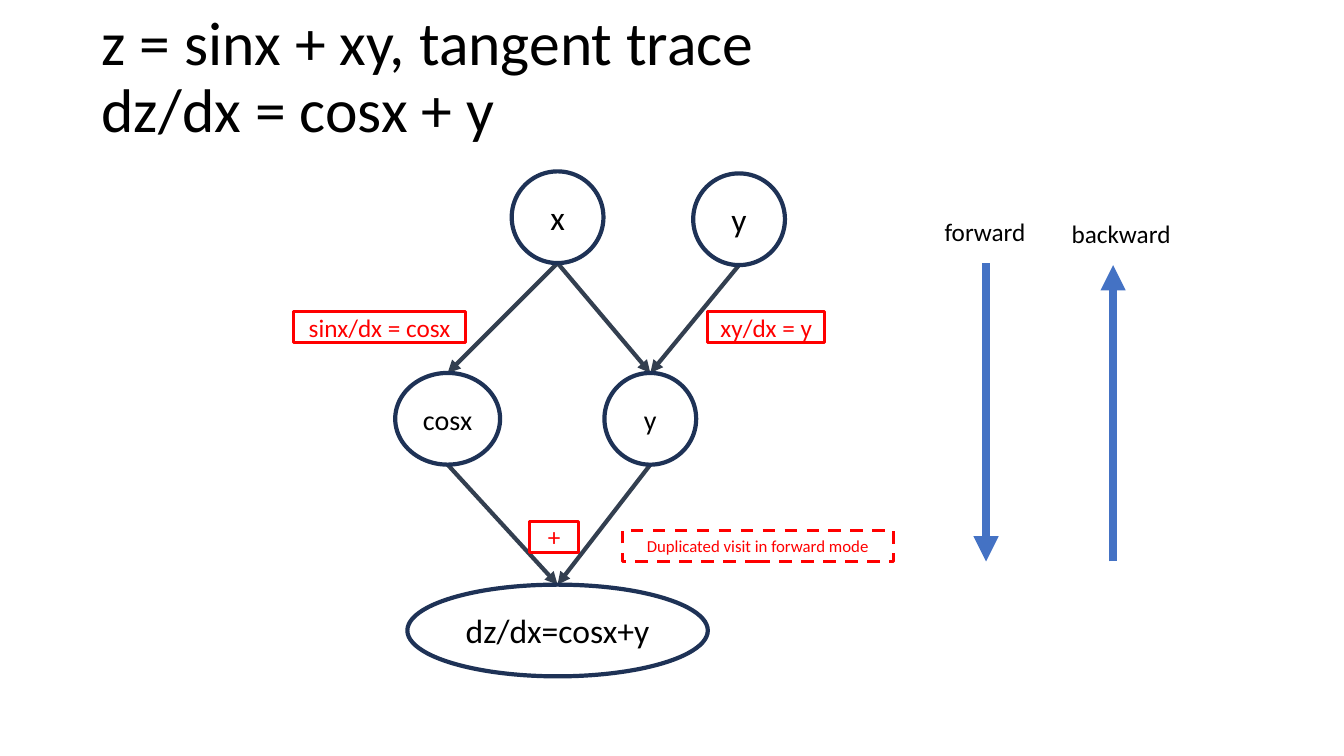
from lxml import etree
from pptx import Presentation
from pptx.dml.color import RGBColor
from pptx.enum.dml import MSO_LINE
from pptx.enum.shapes import MSO_CONNECTOR, MSO_SHAPE
from pptx.enum.text import MSO_ANCHOR, PP_ALIGN
from pptx.oxml.ns import qn
from pptx.util import Inches, Pt

STRAIGHT = MSO_CONNECTOR.STRAIGHT
OVAL, RECTANGLE = MSO_SHAPE.OVAL, MSO_SHAPE.RECTANGLE
DASH = MSO_LINE.DASH
MIDDLE, TOP = MSO_ANCHOR.MIDDLE, MSO_ANCHOR.TOP
CENTER, LEFT = PP_ALIGN.CENTER, PP_ALIGN.LEFT

FONT = "Calibri"
COLORS = {"text": "000000", "node": "1E3256", "edge": "333F50",
          "note": "FF0000", "direction": "4472C4"}
SLIDE_SIZE = (13.33, 7.5)

TITLE = "z = sinx + xy, tangent trace\ndz/dx = cosx + y"
TITLE_BOX = (0.91, 0.06, 11.5, 1.45)

# name: (text, centre x, top, width, font size)
NODE_HEIGHT = 0.91
NODES = {
    "x": ("x", 5.53, 1.7, 0.91, 24),
    "y": ("y", 7.33, 1.72, 0.91, 24),
    "cosx": ("cosx", 4.44, 3.7, 1.04, 20),
    "xy": ("y", 6.45, 3.7, 0.91, 20),
    "sum": ("dz/dx=cosx+y", 5.53, 5.8, 2.98, 24),
}
EDGES = [("x", "cosx"), ("y", "xy"), ("x", "xy"), ("cosx", "sum"), ("xy", "sum")]

# text, left, top, width, font size, dash style
NOTE_HEIGHT = 0.31
NOTES = [
    ("sinx/dx = cosx", 2.91, 3.09, 1.71, 18, None),
    ("xy/dx = y", 7.02, 3.09, 1.16, 18, None),
    ("+", 5.25, 5.17, 0.49, 18, None),
    ("Duplicated visit in forward mode", 6.17, 5.26, 2.69, 12, DASH),
]

# text, label box, arrow x, arrow start y, arrow end y
DIRECTIONS = [
    ("forward", (9.27, 2.1, 1.01, 0.4), 9.78, 2.61, 5.57),
    ("backward", (10.53, 2.12, 1.19, 0.4), 11.04, 5.57, 2.63),
]


def rgb(name):
    """Return the named colour."""
    return RGBColor.from_string(COLORS[name])


def write(shape, text, size, color="text", anchor=MIDDLE, align=CENTER,
          wrap=False, spacing=1.0):
    """Put one formatted paragraph into a shape."""
    frame = shape.text_frame
    frame.word_wrap = wrap
    frame.vertical_anchor = anchor
    paragraph = frame.paragraphs[0]
    paragraph.text = text
    paragraph.alignment = align
    paragraph.line_spacing = spacing
    for run in paragraph.runs:
        for key, value in {"name": FONT, "size": Pt(size)}.items():
            setattr(run.font, key, value)
        run.font.color.rgb = rgb(color)


def add_label(slide, box, text, size, **format_values):
    """Add a plain text box."""
    shape = slide.shapes.add_textbox(*map(Inches, box))
    write(shape, text, size, **format_values)


def add_outlined(slide, kind, box, text, size, line_color, line_width,
                 text_color="text", dash=None):
    """Add an unfilled shape with centred text."""
    shape = slide.shapes.add_shape(kind, *map(Inches, box))
    shape.shadow.inherit = False
    shape.fill.background()
    shape.line.color.rgb = rgb(line_color)
    shape.line.width = Pt(line_width)
    if dash is not None:
        shape.line.dash_style = dash
    write(shape, text, size, text_color)


def add_arrow(slide, start, end, color, width):
    """Add a straight line with a triangle at its end."""
    arrow = slide.shapes.add_connector(STRAIGHT, *map(Inches, start + end))
    arrow.line.color.rgb = rgb(color)
    arrow.line.width = Pt(width)
    properties = arrow.line._get_or_add_ln()
    etree.SubElement(properties, qn("a:tailEnd"), type="triangle")
    etree.SubElement(properties.getparent(), qn("a:effectLst"))


def add_graph(slide):
    """Draw the edges from node bottom to node top, then the nodes."""
    for source, target in EDGES:
        _, start_x, start_top, _, _ = NODES[source]
        _, end_x, end_top, _, _ = NODES[target]
        add_arrow(slide, (start_x, start_top + NODE_HEIGHT),
                  (end_x, end_top), "edge", 3)
    for text, center, top, width, size in NODES.values():
        box = (center - width / 2, top, width, NODE_HEIGHT)
        add_outlined(slide, OVAL, box, text, size, "node", 3)


presentation = Presentation()
presentation.slide_width, presentation.slide_height = map(Inches, SLIDE_SIZE)
slide = presentation.slides.add_slide(presentation.slide_layouts[6])

add_label(slide, TITLE_BOX, TITLE, 44, align=LEFT, wrap=True, spacing=0.9)
add_graph(slide)
for text, left, top, width, size, dash in NOTES:
    add_outlined(slide, RECTANGLE, (left, top, width, NOTE_HEIGHT), text, size,
                 "note", 2.25, "note", dash)
for text, box, x, start_y, end_y in DIRECTIONS:
    add_arrow(slide, (x, start_y), (x, end_y), "direction", 6)
    add_label(slide, box, text, 18, anchor=TOP, align=LEFT)

presentation.save("out.pptx")
